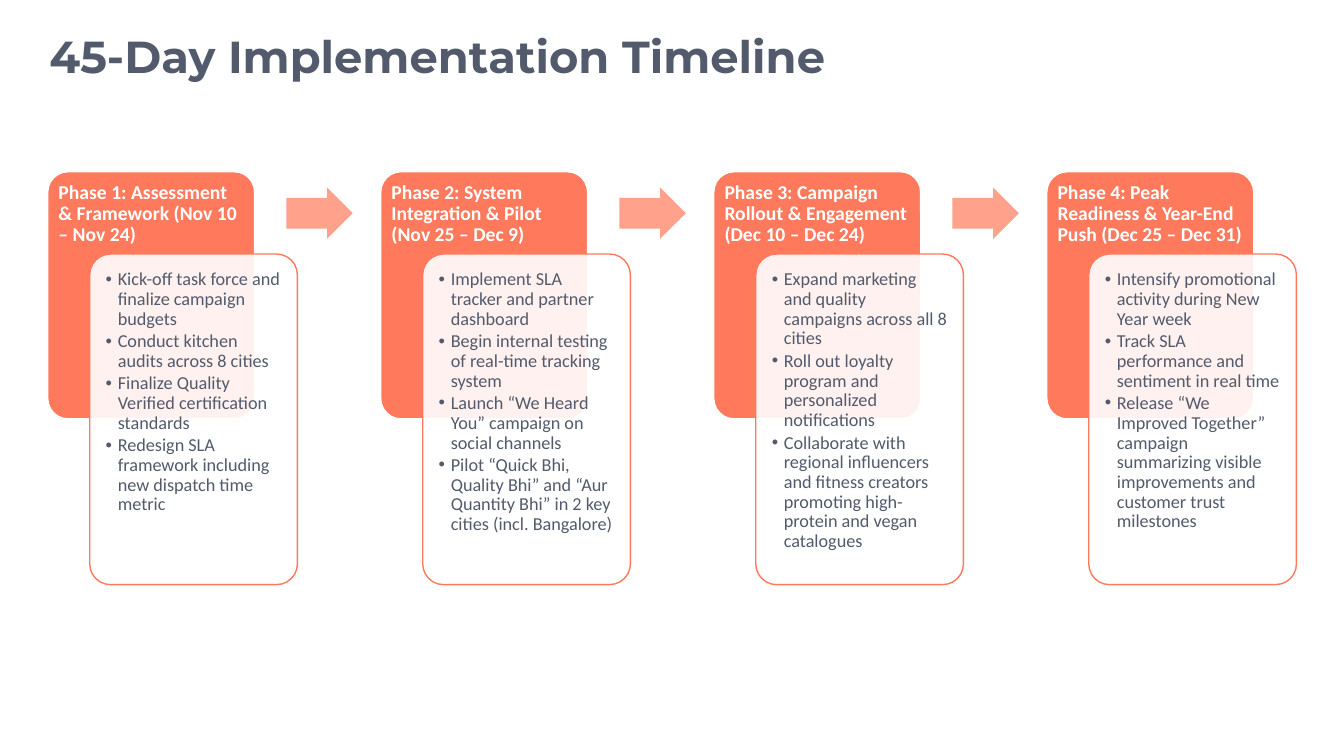
from lxml import etree
from pptx import Presentation
from pptx.dml.color import RGBColor
from pptx.enum.shapes import MSO_SHAPE
from pptx.enum.text import MSO_ANCHOR, MSO_AUTO_SIZE, PP_ALIGN
from pptx.oxml.ns import qn
from pptx.util import Inches, Pt

ROUNDED = MSO_SHAPE.ROUNDED_RECTANGLE
ARROW = MSO_SHAPE.RIGHT_ARROW
TOP, MIDDLE = MSO_ANCHOR.TOP, MSO_ANCHOR.MIDDLE
LEFT = PP_ALIGN.LEFT
GROW = MSO_AUTO_SIZE.SHAPE_TO_FIT_TEXT
TITLE_ONLY = 5

CORAL, LIGHT_CORAL, SLATE, WHITE = "FF7A5C", "FFA18B", "525A6B", "FFFFFF"
FIRST_LEFT, COLUMN_STEP = 0.47, 3.303

PHASES = [
    ("Phase 1: Assessment & Framework (Nov 10 – Nov 24)", [
        "Kick-off task force and finalize campaign budgets",
        "Conduct kitchen audits across 8 cities",
        "Finalize Quality Verified certification standards",
        "Redesign SLA framework including new dispatch time metric"]),
    ("Phase 2: System Integration & Pilot (Nov 25 – Dec 9)", [
        "Implement SLA tracker and partner dashboard",
        "Begin internal testing of real-time tracking system",
        "Launch “We Heard You” campaign on social channels",
        "Pilot “Quick Bhi, Quality Bhi” and “Aur Quantity Bhi” in 2 key cities (incl. Bangalore)"]),
    ("Phase 3: Campaign Rollout & Engagement (Dec 10 – Dec 24)", [
        "Expand marketing and quality campaigns across all 8 cities",
        "Roll out loyalty program and personalized notifications",
        "Collaborate with regional influencers and fitness creators promoting "
        "high-protein and vegan catalogues"]),
    ("Phase 4: Peak Readiness & Year-End Push (Dec 25 – Dec 31)", [
        "Intensify promotional activity during New Year week",
        "Track SLA performance and sentiment in real time",
        "Release “We Improved Together” campaign summarizing visible improvements "
        "and customer trust milestones"]),
]


def color(value):
    return RGBColor.from_string(value)


def format_paragraph(paragraph, font_name, size, font_color, bold=False):
    paragraph.alignment = LEFT
    for run in paragraph.runs:
        run.font.name = font_name
        run.font.size = Pt(size)
        run.font.bold = bold
        run.font.color.rgb = color(font_color)


def add_bullet(paragraph):
    properties = paragraph._p.get_or_add_pPr()
    properties.set("marL", str(Inches(0.12)))
    properties.set("indent", str(Inches(-0.12)))
    etree.SubElement(properties, qn("a:buFont"), typeface="Arial")
    etree.SubElement(properties, qn("a:buChar"), char="•")


def set_opacity(shape, percent):
    fill_color = shape.element.spPr.find(qn("a:solidFill"))[0]
    etree.SubElement(fill_color, qn("a:alpha"), val=str(percent * 1000))


def add_block(slide, kind, box, adjustments, fill, line=None, line_width=1):
    shape = slide.shapes.add_shape(kind, *[Inches(length) for length in box])
    shape.shadow.inherit = False
    for index, value in enumerate(adjustments):
        shape.adjustments[index] = value
    shape.fill.solid()
    shape.fill.fore_color.rgb = color(fill)
    if line:
        shape.line.color.rgb = color(line)
        shape.line.width = Pt(line_width)
    else:
        shape.line.fill.background()
    return shape


def write_text(shape, lines, inset, size, font_color, space_after, bold=False, bullets=False):
    frame = shape.text_frame
    frame.word_wrap = True
    frame.vertical_anchor = TOP
    frame.margin_left = frame.margin_right = Inches(inset)
    frame.margin_top = frame.margin_bottom = Inches(inset)
    frame.text = "\n".join(lines)
    for paragraph in frame.paragraphs:
        format_paragraph(paragraph, "Calibri", size, font_color, bold)
        paragraph.line_spacing = 0.9
        paragraph.space_after = Pt(space_after)
        if bullets:
            add_bullet(paragraph)


def add_title(slide, text):
    title = slide.shapes.title
    title.left, title.top = Inches(0.39), Inches(0.23)
    title.width, title.height = Inches(8.15), Inches(0.64)
    frame = title.text_frame
    frame.text = text
    frame.word_wrap = False
    frame.auto_size = GROW
    frame.vertical_anchor = MIDDLE
    format_paragraph(frame.paragraphs[0], "Montserrat", 32, SLATE, bold=True)


def add_phase(slide, left, heading, tasks):
    header = add_block(slide, ROUNDED, (left, 1.7, 2.06, 2.46), [0.1], CORAL, WHITE, 1.5)
    write_text(header, [heading], 0.05, 14, WHITE, 5, bold=True)
    card = add_block(slide, ROUNDED, (left + 0.42, 2.52, 2.06, 3.28), [0.1], WHITE, CORAL)
    set_opacity(card, 90)
    write_text(card, tasks, 0.1, 13, SLATE, 2, bullets=True)


def main():
    presentation = Presentation()
    presentation.slide_width, presentation.slide_height = Inches(13.33), Inches(7.5)
    slide = presentation.slides.add_slide(presentation.slide_layouts[TITLE_ONLY])
    add_title(slide, "45-Day Implementation Timeline")
    for index, (heading, tasks) in enumerate(PHASES):
        left = FIRST_LEFT + index * COLUMN_STEP
        add_phase(slide, left, heading, tasks)
        if index < len(PHASES) - 1:
            add_block(slide, ARROW, (left + 2.37, 1.86, 0.66, 0.51), [0.6, 0.5], LIGHT_CORAL)
    presentation.save("out.pptx")


if __name__ == "__main__":
    main()
